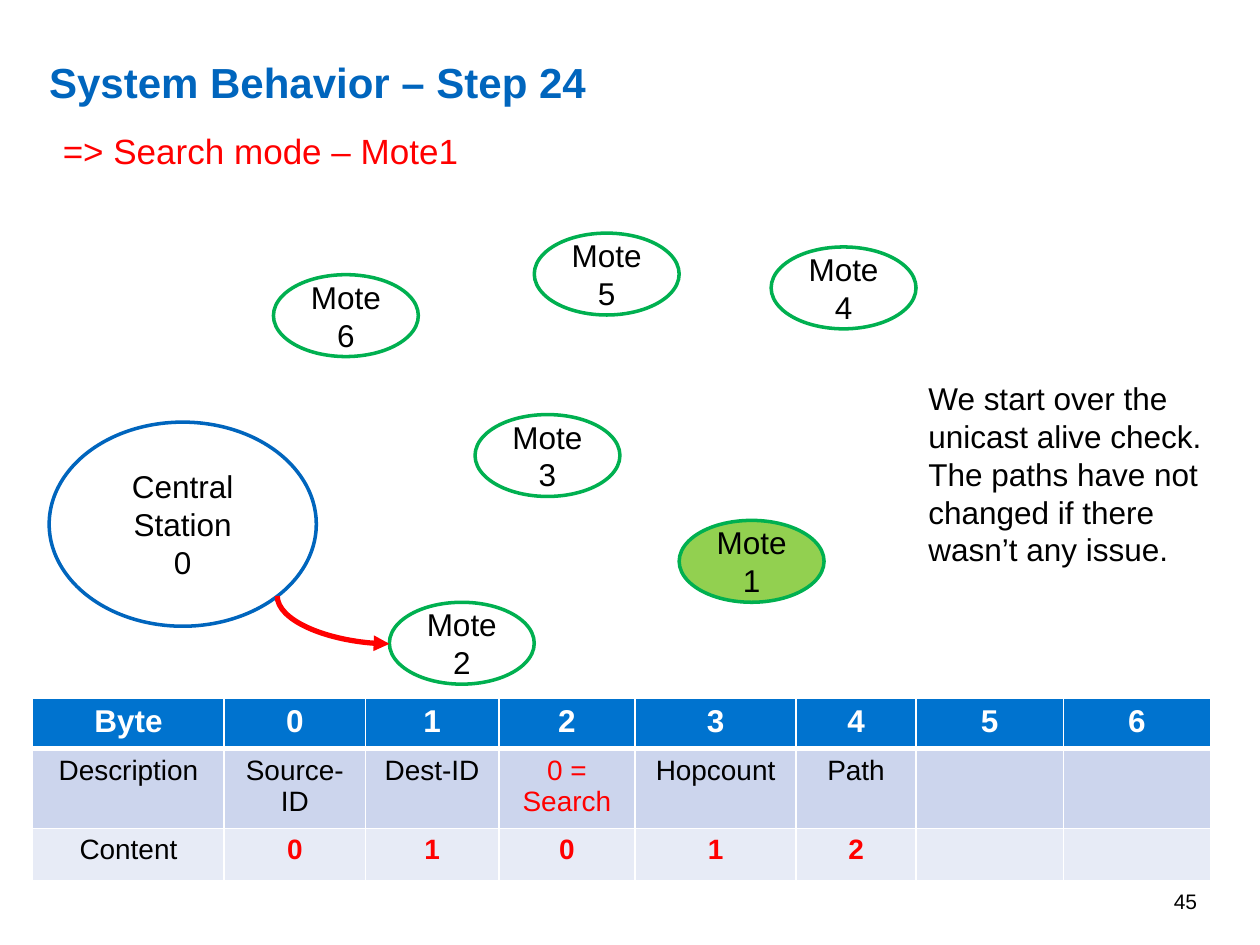
"""Build the "System Behavior – Step 24" slide with its mote network and byte table."""
import pptx
import pptx.util
import pptx.dml.color
import pptx.enum.shapes
import pptx.enum.text
import pptx.oxml.ns
import lxml.etree

Inches = pptx.util.Inches
Pt = pptx.util.Pt
RGBColor = pptx.dml.color.RGBColor
ALIGN = pptx.enum.text.PP_ALIGN
MIDDLE = pptx.enum.text.MSO_ANCHOR.MIDDLE
qn = pptx.oxml.ns.qn

BLUE = RGBColor(0x00, 0x65, 0xBD)
HEADER_BLUE = RGBColor(0x00, 0x73, 0xCF)
PALE_BLUE = RGBColor(0xCC, 0xD5, 0xED)
PALER_BLUE = RGBColor(0xE7, 0xEB, 0xF6)
GREEN = RGBColor(0x00, 0xB0, 0x50)
LIME = RGBColor(0x92, 0xD0, 0x50)
RED = RGBColor(0xFF, 0x00, 0x00)
BLACK = RGBColor(0x00, 0x00, 0x00)
WHITE = RGBColor(0xFF, 0xFF, 0xFF)

TITLE = "System Behavior – Step 24"
MODE = "=> Search mode – Mote1"
NOTE = ["We start over the unicast alive check.",
        "The paths have not changed if there wasn’t any issue."]
PAGE = "45"
STATION = ["Central Station", "0"]
MOTE_SIZE = (1.15, 0.65)
MOTES = [
    ("Mote 6", 2.17, 2.18, WHITE),
    ("Mote 5", 4.24, 1.85, None),
    ("Mote 2", 3.09, 4.78, WHITE),
    ("Mote 4", 6.12, 1.96, None),
    ("Mote 3", 3.77, 3.29, WHITE),
    ("Mote 1", 5.39, 4.13, LIME),
]
ROUTE = ((2.2, 4.73), (3.09, 5.11))

COLUMN_WIDTHS = [1.52, 1.12, 1.06, 1.08, 1.28, 0.95, 1.17, 1.17]
ROW_HEIGHTS = [0.38, 0.61, 0.42]
PACKET = [
    ["Byte", "0", "1", "2", "3", "4", "5", "6"],
    ["Description", "Source-ID", "Dest-ID", "0 = Search", "Hopcount", "Path", "", ""],
    ["Content", "0", "1", "0", "1", "2", "", ""],
]
ROW_FILLS = [HEADER_BLUE, PALE_BLUE, PALER_BLUE]
SEARCH_CELL = (1, 3)


def write(frame, lines, size, color=BLACK, bold=False, align=ALIGN.LEFT):
    frame.text = "\n".join(lines)
    for paragraph in frame.paragraphs:
        paragraph.alignment = align
        for run in paragraph.runs:
            run.font.name = "Arial"
            run.font.size = Pt(size)
            run.font.bold = bold
            run.font.color.rgb = color


def add_text(slide, box, lines, size, wrap=True, **style):
    frame = slide.shapes.add_textbox(*map(Inches, box)).text_frame
    frame.word_wrap = wrap
    write(frame, lines, size, **style)
    return frame


def add_node(slide, box, lines, fill, outline):
    node = slide.shapes.add_shape(pptx.enum.shapes.MSO_SHAPE.OVAL, *map(Inches, box))
    node.shadow.inherit = False
    if fill is None:
        node.fill.background()
    else:
        node.fill.solid()
        node.fill.fore_color.rgb = fill
    node.line.color.rgb = outline
    node.line.width = Pt(2)
    node.text_frame.vertical_anchor = MIDDLE
    write(node.text_frame, lines, 18, align=ALIGN.CENTER)


def add_route(slide, start, end):
    middle_x, middle_y = ((a + b) / 2 for a, b in zip(start, end))
    half_run, half_drop = ((b - a) / 2 for a, b in zip(start, end))
    unturned = (middle_x + half_drop, middle_y - half_run,
                middle_x - half_drop, middle_y + half_run)
    route = slide.shapes.add_connector(
        pptx.enum.shapes.MSO_CONNECTOR.CURVE, *map(Inches, unturned))
    route.line.color.rgb = RED
    route.line.width = Pt(3)
    properties = route._element.spPr
    properties.find(qn("a:xfrm")).set("rot", str(270 * 60000))
    properties.find(qn("a:prstGeom")).set("prst", "curvedConnector2")
    outline = properties.find(qn("a:ln"))
    lxml.etree.SubElement(outline, qn("a:tailEnd"), type="triangle")
    lxml.etree.SubElement(properties, qn("a:effectLst"))


def set_borders(cell, bottom):
    properties = cell._tc.get_or_add_tcPr()
    widths = [("a:lnL", 1), ("a:lnR", 1), ("a:lnT", 1), ("a:lnB", bottom)]
    for position, (side, width) in enumerate(widths):
        border = lxml.etree.Element(qn(side), w=str(int(Pt(width))))
        fill = lxml.etree.SubElement(border, qn("a:solidFill"))
        lxml.etree.SubElement(fill, qn("a:srgbClr"), val=str(WHITE))
        properties.insert(position, border)


def cell_style(row, column):
    if row == 0:
        return {"size": 18, "color": WHITE, "bold": True}
    content = row == 2 and column > 0
    red = content or (row, column) == SEARCH_CELL
    return {"size": 16, "color": RED if red else BLACK, "bold": content}


def add_packet(slide):
    box = (0.26, 5.54, sum(COLUMN_WIDTHS), sum(ROW_HEIGHTS))
    packet = slide.shapes.add_table(
        len(PACKET), len(COLUMN_WIDTHS), *map(Inches, box)).table
    for column, width in zip(packet.columns, COLUMN_WIDTHS):
        column.width = Inches(width)
    for row, height in zip(packet.rows, ROW_HEIGHTS):
        row.height = Inches(height)
    for r, labels in enumerate(PACKET):
        for c, label in enumerate(labels):
            cell = packet.cell(r, c)
            cell.fill.solid()
            cell.fill.fore_color.rgb = ROW_FILLS[r]
            set_borders(cell, bottom=3 if r == 0 else 1)
            write(cell.text_frame, [label], align=ALIGN.CENTER, **cell_style(r, c))


def main():
    deck = pptx.Presentation()
    deck.slide_width, deck.slide_height = Inches(10), Inches(7.5)
    slide = deck.slides.add_slide(deck.slide_layouts[6])

    page = add_text(slide, (7.27, 6.95, 2.33, 0.4), [PAGE], 12, align=ALIGN.RIGHT)
    page.vertical_anchor = MIDDLE
    title = add_text(slide, (0.39, 0.4, 7.84, 0.39), [TITLE], 24, color=BLUE, bold=True)
    title.vertical_anchor = MIDDLE
    title.margin_left = title.margin_right = title.margin_top = title.margin_bottom = 0
    title.paragraphs[0].line_spacing = 1.25

    add_node(slide, (0.39, 3.35, 2.12, 1.62), STATION, WHITE, BLUE)
    for name, left, top, fill in MOTES:
        add_node(slide, (left, top, *MOTE_SIZE), [name], fill, GREEN)
    add_text(slide, (0.4, 0.98, 3.36, 0.44), [MODE], 20, wrap=False, color=RED)
    add_packet(slide)
    add_text(slide, (7.27, 2.96, 2.48, 1.62), NOTE, 18)
    add_route(slide, *ROUTE)
    deck.save("out.pptx")


if __name__ == "__main__":
    main()
